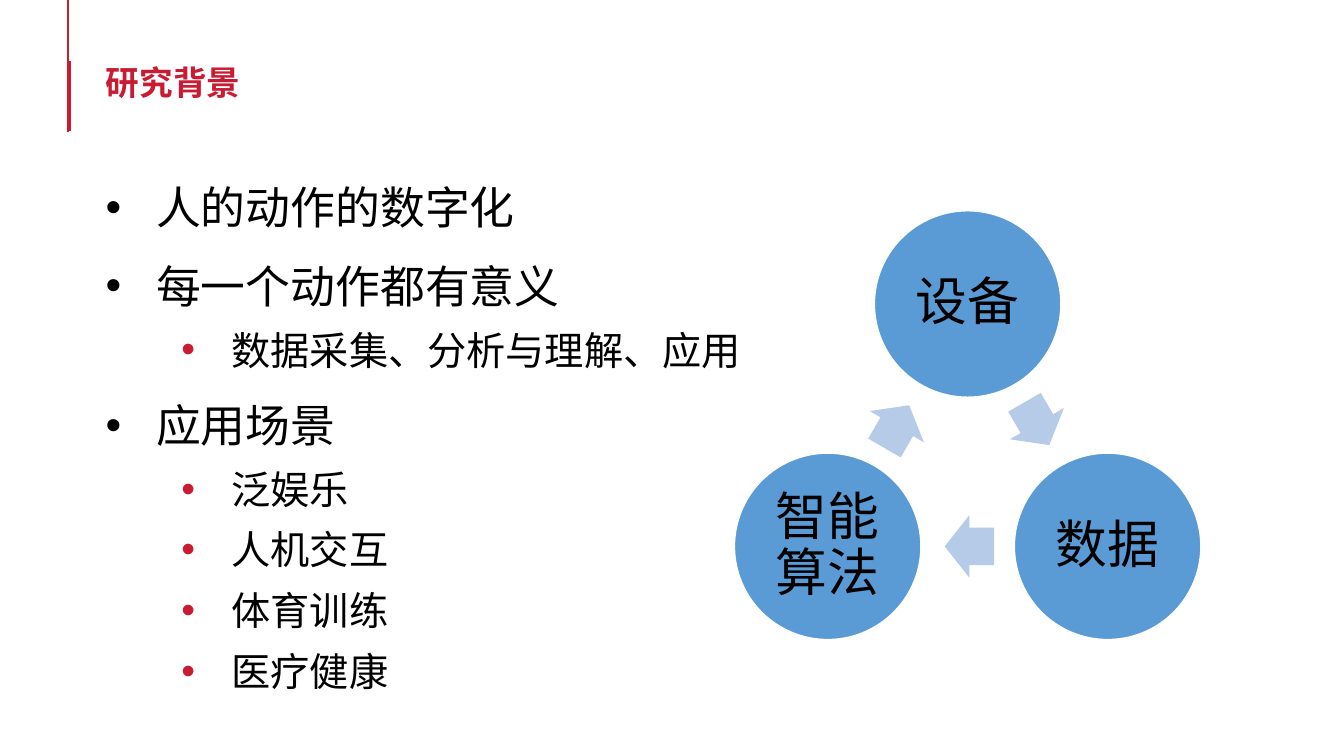
from dataclasses import dataclass
from math import cos, radians, sin

from lxml import etree
from pptx import Presentation
from pptx.dml.color import RGBColor
from pptx.enum.shapes import MSO_CONNECTOR, MSO_SHAPE
from pptx.enum.text import MSO_ANCHOR, PP_ALIGN
from pptx.oxml.ns import qn
from pptx.util import Inches, Pt

STRAIGHT = MSO_CONNECTOR.STRAIGHT
ELLIPSE, RIGHT_ARROW = MSO_SHAPE.OVAL, MSO_SHAPE.RIGHT_ARROW
MIDDLE, TOP = MSO_ANCHOR.MIDDLE, MSO_ANCHOR.TOP
LEFT, CENTER = PP_ALIGN.LEFT, PP_ALIGN.CENTER
TITLE_ONLY = 5
COLUMNS = 40  # square grid cells across the slide width


@dataclass(frozen=True)
class Theme:
    accent: str = "C91C33"
    text: str = "000000"
    disc: str = "5B9BD5"
    arrow: str = "B5CBE7"
    outline: str = "FFFFFF"
    title_font: str = "Montserrat"
    body_font: str = "Arial"
    title_size: int = 24
    disc_size: int = 37
    level_sizes: tuple = (32, 28)
    level_indents: tuple = (0.5, 1.25)  # inches
    level_spaces: tuple = (10, 3)  # points


class SlideBuilder:
    def __init__(self, presentation, theme):
        self.theme = theme
        self.cell = presentation.slide_width / COLUMNS
        layout = presentation.slide_layouts[TITLE_ONLY]
        self.slide = presentation.slides.add_slide(layout)

    def grid(self, *cells):
        return [round(value * self.cell) for value in cells]

    def add_run(self, paragraph, text, size, color, font, bold=False):
        run = paragraph.add_run()
        run.text = text
        run.font.size = Pt(size)
        run.font.name = font
        run.font.bold = bold
        run.font.color.rgb = RGBColor.from_string(color)

    def title(self, text, left, top, width, height):
        shape = self.slide.shapes.title
        shape.left, shape.top, shape.width, shape.height = self.grid(
            left, top, width, height)
        shape.text_frame.vertical_anchor = MIDDLE
        paragraph = shape.text_frame.paragraphs[0]
        paragraph.alignment = LEFT
        paragraph.line_spacing = 0.9
        self.add_run(paragraph, text, self.theme.title_size,
                     self.theme.accent, self.theme.title_font, bold=True)

    def vertical_line(self, column, start_row, end_row, weight):
        line = self.slide.shapes.add_connector(
            STRAIGHT, *self.grid(column, start_row, column, end_row))
        line.line.color.rgb = RGBColor.from_string(self.theme.accent)
        line.line.width = Pt(weight)
        etree.SubElement(line._element.spPr, qn("a:effectLst"))

    def set_bullet(self, paragraph, level):
        properties = paragraph._p.get_or_add_pPr()
        properties.set("marL", str(Inches(self.theme.level_indents[level])))
        properties.set("indent", str(-Inches(0.5)))
        color = self.theme.accent if level else self.theme.text
        fill = etree.SubElement(properties, qn("a:buClr"))
        etree.SubElement(fill, qn("a:srgbClr"), val=color)
        etree.SubElement(properties, qn("a:buFont"), typeface="Arial")
        etree.SubElement(properties, qn("a:buChar"), char="•")

    def bullets(self, items, left, top, width, height):
        box = self.slide.shapes.add_textbox(
            *self.grid(left, top, width, height))
        frame = box.text_frame
        frame.word_wrap = True
        frame.vertical_anchor = TOP
        for index, (level, text) in enumerate(items):
            paragraph = frame.add_paragraph() if index else frame.paragraphs[0]
            paragraph.level = level
            self.set_bullet(paragraph, level)
            paragraph.line_spacing = 1.2
            if index:
                paragraph.space_before = Pt(self.theme.level_spaces[level])
            self.add_run(paragraph, text, self.theme.level_sizes[level],
                         self.theme.text, self.theme.body_font)

    def centred_shape(self, kind, x, y, width, height, color):
        shape = self.slide.shapes.add_shape(kind, *self.grid(
            x - width / 2, y - height / 2, width, height))
        shape.shadow.inherit = False
        shape.fill.solid()
        shape.fill.fore_color.rgb = RGBColor.from_string(color)
        return shape

    def disc(self, text, x, y, diameter):
        shape = self.centred_shape(
            ELLIPSE, x, y, diameter, diameter, self.theme.disc)
        shape.line.color.rgb = RGBColor.from_string(self.theme.outline)
        shape.line.width = Pt(1)
        frame = shape.text_frame
        frame.word_wrap = True
        frame.vertical_anchor = MIDDLE
        frame.margin_left = frame.margin_right = Inches(0.05)
        frame.margin_top = frame.margin_bottom = Inches(0.05)
        paragraph = frame.paragraphs[0]
        paragraph.alignment = CENTER
        paragraph.line_spacing = 0.9
        self.add_run(paragraph, text, self.theme.disc_size,
                     self.theme.text, self.theme.body_font)

    def arrow(self, x, y, width, height, rotation):
        shape = self.centred_shape(
            RIGHT_ARROW, x, y, width, height, self.theme.arrow)
        shape.line.fill.background()
        shape.adjustments[0], shape.adjustments[1] = 0.6, 0.5
        shape.rotation = rotation

    def cycle(self, labels, x, y, radius, diameter, lag):
        step = 360 / len(labels)
        for index, label in enumerate(labels):
            angle = radians(index * step - 90)
            self.disc(label, x + radius * cos(angle),
                      y + radius * sin(angle), diameter)
            # Each arrow sits just before the middle of the chord
            middle = radians((index + 0.5) * step - 90)
            chord = radius * cos(radians(step / 2))
            self.arrow(x + chord * cos(middle) + lag * sin(middle),
                       y + chord * sin(middle) - lag * cos(middle),
                       1.47, 1.86, (index + 0.5) * step)


def main():
    presentation = Presentation()
    presentation.slide_width = Inches(13.33)
    presentation.slide_height = Inches(7.5)
    builder = SlideBuilder(presentation, Theme())

    # Title and its accent lines
    builder.vertical_line(2.07, 1.81, 3.9, 2)
    builder.vertical_line(2.02, 0, 3.93, 1.25)
    builder.title("研究背景", 2.85, 1.74, 34.5, 1.56)

    # Background points
    builder.bullets([
        (0, "人的动作的数字化"),
        (0, "每一个动作都有意义"),
        (1, "数据采集、分析与理解、应用"),
        (0, "应用场景"),
        (1, "泛娱乐"),
        (1, "人机交互"),
        (1, "体育训练"),
        (1, "医疗健康"),
    ], 2.85, 4.89, 20.04, 17.1)

    # Cycle of device, data and algorithm
    builder.cycle(["设备", "数据", "智能算法"], 28.8, 13.86, 4.81, 5.55, 0.05)

    presentation.save("out.pptx")


if __name__ == "__main__":
    main()
